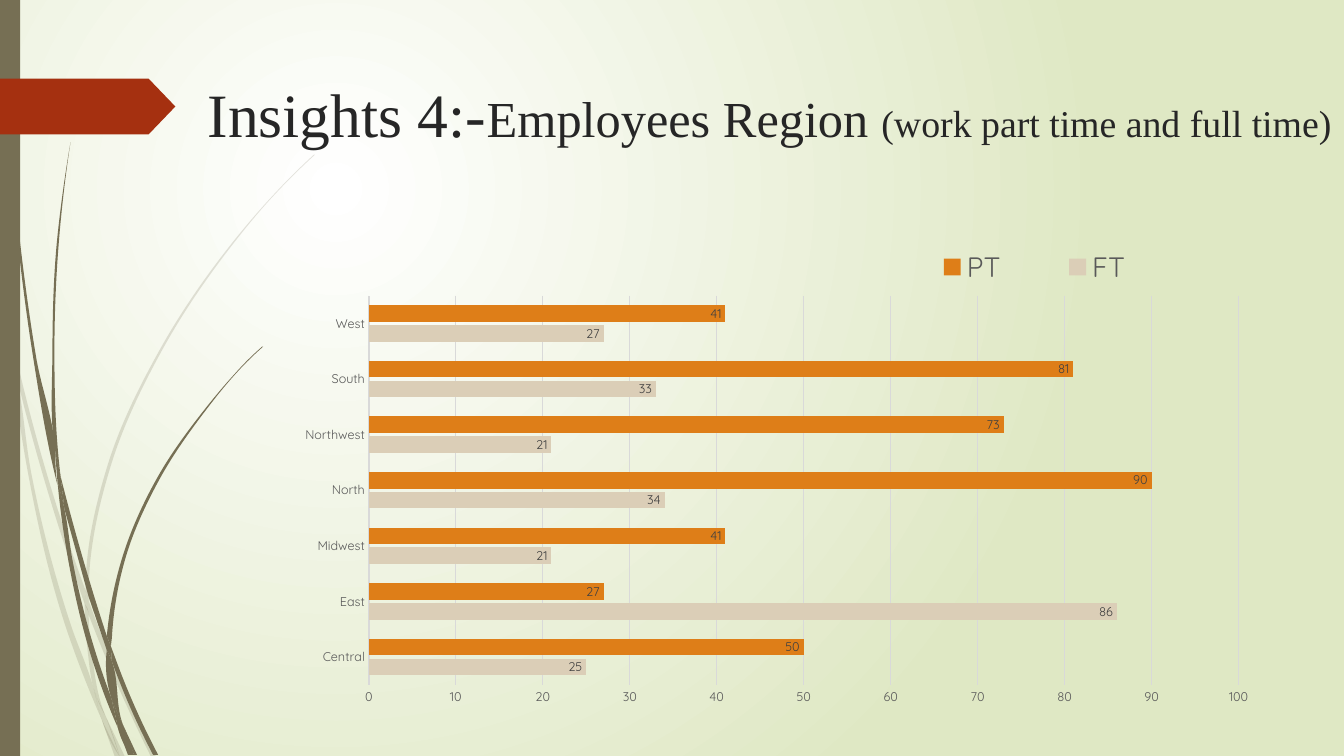
import math
from pptx import Presentation
from pptx import util as u
from pptx.chart.data import CategoryChartData
from pptx.dml.color import RGBColor
from pptx.enum import chart as ch
from pptx.enum import shapes, text
from pptx.oxml import parse_xml
from pptx.oxml.ns import nsdecls, qn

HUES = {"white": "FFFFFF", "lime": "DFE8C4", "olive": "766F54", "rust": "A53010",
        "title": "262626", "label": "404040", "axis": "595959", "grid": "D9D9D9",
        "FT": "DBCEB7", "PT": "DE7E18"}

# Each leaf: smooth edges split by "/", as x y pairs in hundredths of an inch.
PALE = [
    "11 350 9 322 0 282 / 0 299 10 344 11 350",
    "14 345 62 520 85 586 / 84 599 58 522 17 376",
    "88 596 92 607 127 692 155 751 / 150 751 123 694 88 610",
    "105 711 124 751 / 119 751 105 711",
    "11 350 17 376 31 469 70 619 93 683 99 707 101 714"
    " / 101 714 92 693 65 621 28 470 11 350",
    "84 599 88 608 88 610 91 646 103 706 105 711 / 105 711 96 692 93 683 87 646 84 599",
    "88 596 88 584 110 462 160 349 229 245 268 198 290 175 312 154"
    " / 312 153 289 175 268 197 228 244 158 348 107 461 85 584 85 586",
    "101 714 114 751 / 119 751 101 714",
    "88 608 88 610 / 88 596 85 586 / 84 599 88 608",
    "96 692 93 683 / 93 683 99 707 101 714 119 751 / 119 751 105 711 96 692",
]
DARK = [
    "7 110 17 233 33 355 56 477 57 481 / 57 481 55 457 55 453 36 355 19 232 8 109 5 48 4 0"
    " / 3 0 4 48 7 110",
    "88 592 106 645 / 106 633 106 631 / 106 631 93 590 60 472 / 64 505 88 592",
    "113 649 110 641 / 111 656 132 708 152 749 / 157 749 136 706 113 649",
    "110 691 98 657 72 556 64 505 57 477 / 57 477 68 557 93 659 111 708 117 722"
    " / 117 722 116 717 110 691",
    "60 472 58 453 54 349 58 245 63 193 70 141 / 70 141 62 193 56 245 52 349 55 449 60 472",
    "133 749 136 749 / 136 749 122 719 / 122 719 133 749",
    "57 477 64 505 / 64 505 60 472 / 60 472 55 449 / 55 453 57 477",
    "111 633 125 552 158 476 205 406 231 374 245 359 261 344"
    " / 260 344 245 358 231 373 204 405 156 474 122 551 106 631 / 110 641 111 633",
    "117 722 127 749 / 131 749 117 722",
    "106 645 110 691 116 706 122 719 / 122 719 121 716 111 656 109 651 106 645",
    "106 645 109 651 111 656 / 111 656 110 641 / 110 641 106 631 / 106 633 106 645",
    "116 706 110 691 / 110 691 116 717 117 722 130 749 / 133 749 122 719 116 706",
]
WORK = {"FT": (25, 86, 21, 34, 21, 33, 27), "PT": (50, 27, 41, 90, 73, 81, 41)}
AREAS = ("Central", "East", "Midwest", "North", "Northwest", "South", "West")


def hue(name):
    return RGBColor.from_string(HUES[name])


def bend(dots):
    """Return the two handles and the end of each curve through the dots."""
    gaps = [math.dist(a, b) for a, b in zip(dots, dots[1:])]
    ways = [[(q - p) / g for p, q in zip(a, b)] for a, b, g in zip(dots, dots[1:], gaps)]
    mids = [[(h * p + g * q) / (g + h) for p, q in zip(a, b)]
            for a, b, g, h in zip(ways, ways[1:], gaps, gaps[1:])]
    ends = [[2 * p - q for p, q in zip(ways[i], mids[i])] if mids else ways[i]
            for i in (0, -1)]
    lean = [ends[0], *mids, ends[1]]
    return [([p + g / 3 * m for p, m in zip(a, lean[i])],
             [p - g / 3 * m for p, m in zip(b, lean[i + 1])], b)
            for i, (a, b, g) in enumerate(zip(dots, dots[1:], gaps))]


def style(font, size, color, face):
    font.size, font.name, font.bold = u.Pt(size), face, False
    font.color.rgb = hue(color)


def write(para, words, size=18, color="title", face="Times New Roman"):
    run = para.add_run()
    run.text = words
    style(run.font, size, color, face)


class Deck:
    face = "Quicksand"

    def __init__(self):
        self.prs = Presentation()
        self.prs.slide_width, self.prs.slide_height = u.Cm(33.87), u.Cm(19.05)
        self.slide = self.prs.slides.add_slide(self.prs.slide_layouts[6])

    def glow(self, inner, outer):
        """Fill the background with a round gradient."""
        fill = self.slide.background.fill
        fill.gradient()
        for stop, name in zip(fill.gradient_stops, (inner, outer)):
            stop.color.rgb = hue(name)
        line = self.slide.element.find(".//" + qn("a:lin"))
        line.getparent().replace(line, parse_xml(
            f'<a:path {nsdecls("a")} path="circle"><a:fillToRect l="50000" t="50000"'
            ' r="100000" b="100000"/></a:path>'))

    def paint(self, shape, color, alpha=100):
        shape.shadow.inherit = False
        shape.fill.solid()
        shape.fill.fore_color.rgb = hue(color)
        shape.line.fill.background()
        if alpha < 100:
            tone = shape._element.spPr.find(".//" + qn("a:srgbClr"))
            tone.append(parse_xml(f'<a:alpha {nsdecls("a")} val="{alpha * 1000}"/>'))

    def block(self, kind, box, color):
        shape = self.slide.shapes.add_shape(kind, *map(u.Cm, box))
        self.paint(shape, color)
        return shape

    def leaf(self, group, edges):
        """Draw one outline, straight first, then round its edges."""
        dots, curves = [], []
        for edge in edges.split("/"):
            nums = [u.Cm(0.0254 * int(n)) for n in edge.split()]
            knots = list(zip(nums[::2], nums[1::2]))
            if not dots or dots[-1] != knots[0]:
                dots.append(knots[0])
                curves.append(None)
            dots += knots[1:]
            curves += bend(knots)
        pen = group.shapes.build_freeform(*dots[0])
        pen.add_line_segments(dots[1:], close=True)
        shape = pen.convert_to_shape()
        left, top = (min(axis) for axis in zip(*dots))
        sides = list(shape._element.iter(qn("a:lnTo")))
        for side, curve in zip(sides, curves[1:]):
            if curve:
                pts = "".join(f'<a:pt x="{round(x - left)}" y="{round(y - top)}"/>'
                              for x, y in curve)
                side.getparent().replace(side, parse_xml(
                    f'<a:cubicBezTo {nsdecls("a")}>{pts}</a:cubicBezTo>'))
        return shape

    def grass(self, leaves, color, alpha=100):
        group = self.slide.shapes.add_group_shape()
        for edges in leaves:
            self.paint(self.leaf(group, edges), color, alpha)

    def title(self, box, parts):
        frame = self.slide.shapes.add_textbox(*map(u.Cm, box)).text_frame
        frame.word_wrap = True
        frame.vertical_anchor = text.MSO_ANCHOR.TOP
        for words, size in parts:
            write(frame.paragraphs[0], words, size=size)

    def place(self, part, box, inner=""):
        """Set a chart part's place in percent of the chart."""
        old = part.find(qn("c:layout"))
        if old is not None:
            part.remove(old)
        spots = "".join(f'<c:{k} val="{v / 100:.3f}"/>' for k, v in zip("xywh", box))
        node = parse_xml(
            f'<c:layout {nsdecls("c")}><c:manualLayout>{inner}<c:xMode val="edge"/>'
            f'<c:yMode val="edge"/>{spots}</c:manualLayout></c:layout>')
        pos = part.find(qn("c:legendPos"))
        if pos is None:
            part.insert(0, node)
        else:
            pos.addnext(node)

    def bars(self, box, cats, rows):
        data = CategoryChartData(number_format="#,##0")
        data.categories = cats
        for name, vals in rows.items():
            data.add_series(name, vals)
        chart = self.slide.shapes.add_chart(
            ch.XL_CHART_TYPE.BAR_CLUSTERED, *map(u.Cm, box), data).chart
        style(chart.font, 10, "axis", self.face)
        chart.has_title = False
        chart.has_legend = True
        key = chart.legend
        key.position, key.include_in_layout = ch.XL_LEGEND_POSITION.TOP, False
        style(key.font, 20, "axis", self.face)
        self.place(key._element, (61, 2.8, 30.5, 9))
        plot = chart.plots[0]
        plot.gap_width, plot.overlap, plot.vary_by_categories = 115, -20, False
        self.place(chart._chartSpace.chart.plotArea, (8.5, 13.2, 88.5, 80.5),
                   '<c:layoutTarget val="inner"/>')
        for row in plot.series:
            row.format.fill.solid()
            row.format.fill.fore_color.rgb = hue(row.name)
            tags = row.data_labels
            tags.show_value, tags.position = True, ch.XL_LABEL_POSITION.INSIDE_END
            tags.number_format, tags.number_format_is_linked = "#,##0", False
            style(tags.font, 9, "label", self.face)
        cat, val = chart.category_axis, chart.value_axis
        for axis in (cat, val):
            axis.major_tick_mark = axis.minor_tick_mark = ch.XL_TICK_MARK.NONE
            style(axis.tick_labels.font, 9, "axis", self.face)
        val.format.line.fill.background()
        val.has_major_gridlines = True
        for line, width in ((cat.format.line, 1), (val.major_gridlines.format.line, 0.75)):
            line.color.rgb, line.width = hue("grid"), u.Pt(width)


def main():
    deck = Deck()
    deck.glow("white", "lime")
    deck.grass(PALE, "olive", alpha=20)
    deck.grass(DARK, "olive")
    deck.block(shapes.MSO_SHAPE.RECTANGLE, (0, 0, 0.51, 19.05), "olive")
    flag = deck.block(shapes.MSO_SHAPE.PENTAGON, (0, 1.98, 4.42, 1.41), "rust")
    flag.adjustments[0] = 0.48
    deck.title((4.98, 1.78, 29.18, 3.56), (
        ("Insights 4:-", 44), ("Employees Region ", 36),
        ("(work part time and full time)", 27)))
    deck.bars((7.19, 5.84, 24.77, 12.19), AREAS, WORK)
    deck.prs.save("out.pptx")


if __name__ == "__main__":
    main()
